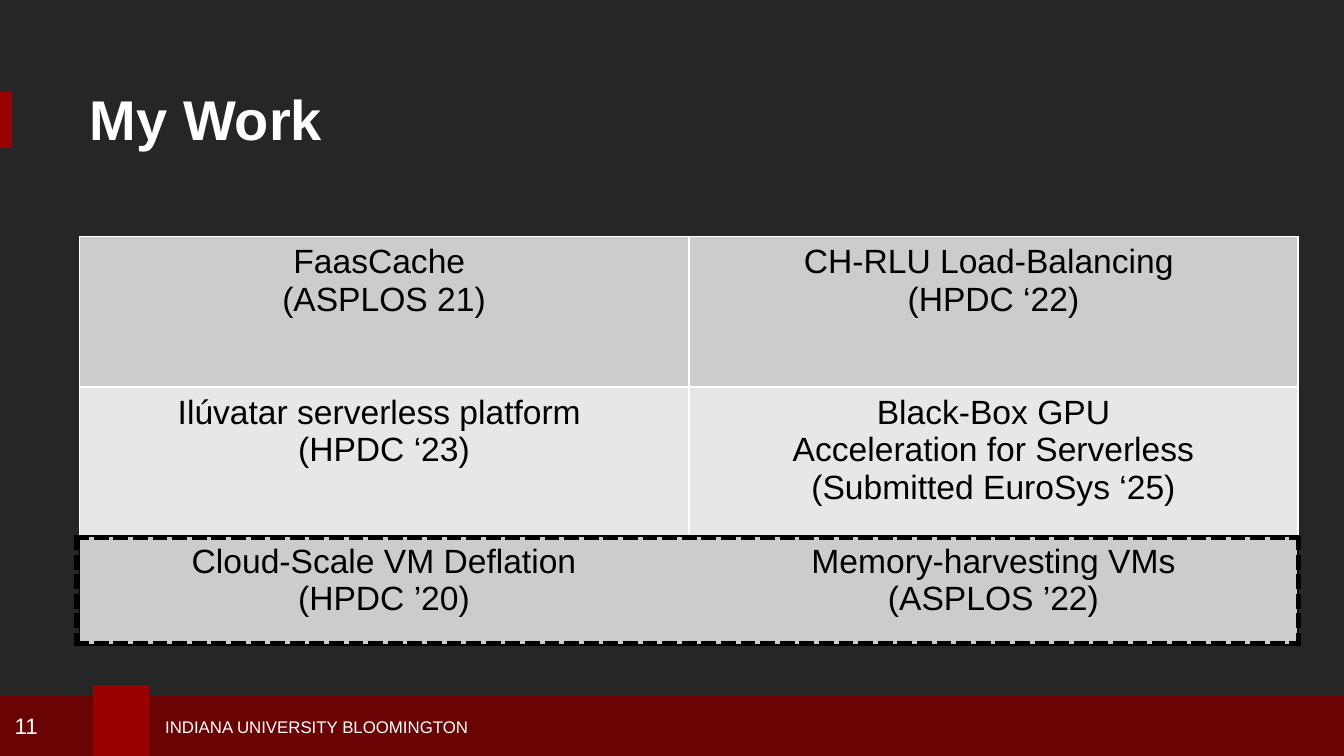
from lxml.etree import SubElement
from pptx import Presentation
from pptx.dml.color import RGBColor
from pptx.enum.shapes import MSO_SHAPE
from pptx.enum.text import MSO_ANCHOR, PP_ALIGN
from pptx.oxml import parse_xml
from pptx.oxml.ns import nsdecls, qn
from pptx.util import Inches, Pt

WIDE = Inches(10)
HIGH = WIDE * 9 // 16
COLORS = {
    "back": "262626", "red": "990000", "dark": "690304",
    "white": "FFFFFF", "black": "000000", "gray": "CCCCCC", "pale": "E7E7E7",
}
WORK = [
    ["FaasCache \n(ASPLOS 21)", "CH-RLU Load-Balancing \n(HPDC ‘22)"],
    ["Ilúvatar serverless platform \n(HPDC ‘23)",
     "Black-Box GPU\vAcceleration for Serverless\n(Submitted EuroSys ‘25)"],
    ["Cloud-Scale VM Deflation\n(HPDC ’20)", "Memory-harvesting VMs\n(ASPLOS ’22)"],
]
ROWS = [19.91, 19.73, 14.4]
FILLS = ["gray", "pale", "gray"]
# Border colours of each row's two cells, in the order left, right, top, bottom
EDGES = [
    [["white"] * 4] * 2,
    [["white", "white", "white", "black"]] * 2,
    [["black", None, "black", "black"], [None, "black", "black", "black"]],
]


def color(name):
    return RGBColor.from_string(COLORS[name])


def area(x, y, w, h):
    """Turn percentages of the slide into left, top, width and height."""
    return [int(part * side / 100)
            for part, side in zip((x, y, w, h), (WIDE, HIGH) * 2)]


def style(frame, size, tint, bold=False, align=PP_ALIGN.LEFT):
    for line in frame.paragraphs:
        line.alignment = align
        for run in line.runs:
            run.font.name = "Arial"
            run.font.size = Pt(size)
            run.font.bold = bold
            run.font.color.rgb = color(tint)


def add_block(slide, place, tint):
    block = slide.shapes.add_shape(MSO_SHAPE.RECTANGLE, *area(*place))
    block.shadow.inherit = False
    block.fill.solid()
    block.fill.fore_color.rgb = color(tint)
    block.line.fill.background()


def add_label(slide, place, text, size, bold=False):
    frame = slide.shapes.add_textbox(*area(*place)).text_frame
    frame.word_wrap = True
    frame.vertical_anchor = MSO_ANCHOR.MIDDLE
    frame.text = text
    style(frame, size, "white", bold)


def set_edges(cell, tints, width=1, dash="solid"):
    """Draw the left, right, top and bottom borders; None hides one."""
    props = cell._tc.get_or_add_tcPr()
    for spot, (side, tint) in enumerate(zip("LRTB", tints)):
        line = parse_xml(f'<a:ln{side} {nsdecls("a")} w="{Pt(width)}"/>')
        if tint:
            fill = SubElement(line, qn("a:solidFill"))
            SubElement(fill, qn("a:srgbClr"), val=COLORS[tint])
            SubElement(line, qn("a:prstDash"), val=dash)
        else:
            SubElement(line, qn("a:noFill"))
        props.insert(spot, line)


def add_grid(slide, place, rows, cols):
    table = slide.shapes.add_table(rows, cols, *area(*place)).table
    table.first_row = False
    table.horz_banding = False
    return table


def add_work(slide):
    table = add_grid(slide, (5.9, 31.29, 90.7, sum(ROWS)), len(WORK), 2)
    for r, texts in enumerate(WORK):
        table.rows[r].height = int(HIGH * ROWS[r] / 100)
        for c, text in enumerate(texts):
            cell = table.cell(r, c)
            cell.text_frame.text = text
            style(cell.text_frame, 18, "black", align=PP_ALIGN.CENTER)
            cell.fill.solid()
            cell.fill.fore_color.rgb = color(FILLS[r])
            set_edges(cell, EDGES[r][c])


def add_frame(slide):
    cell = add_grid(slide, (5.7, 71.11, 90.9, 14.04), 1, 1).cell(0, 0)
    cell.fill.background()
    set_edges(cell, ["black"] * 4, 3, "sysDash")


def main():
    deck = Presentation()
    deck.slide_width, deck.slide_height = WIDE, HIGH
    slide = deck.slides.add_slide(deck.slide_layouts[6])
    slide.background.fill.solid()
    slide.background.fill.fore_color.rgb = color("back")

    add_block(slide, (0, 12.09, 0.9, 7.47), "red")
    add_block(slide, (-0.3, 92.09, 100.9, 8.89), "dark")
    add_block(slide, (6.9, 90.67, 4.2, 10.31), "red")
    add_label(slide, (11.3, 93.87, 39.5, 4.44), "INDIANA UNIVERSITY BLOOMINGTON", 9)
    add_label(slide, (5.7, 8.89, 87.5, 13.51), "My Work", 30, bold=True)
    add_label(slide, (0.1, 93.33, 5.8, 5.33), "11", 12)
    add_work(slide)
    add_frame(slide)
    deck.save("out.pptx")


if __name__ == "__main__":
    main()
